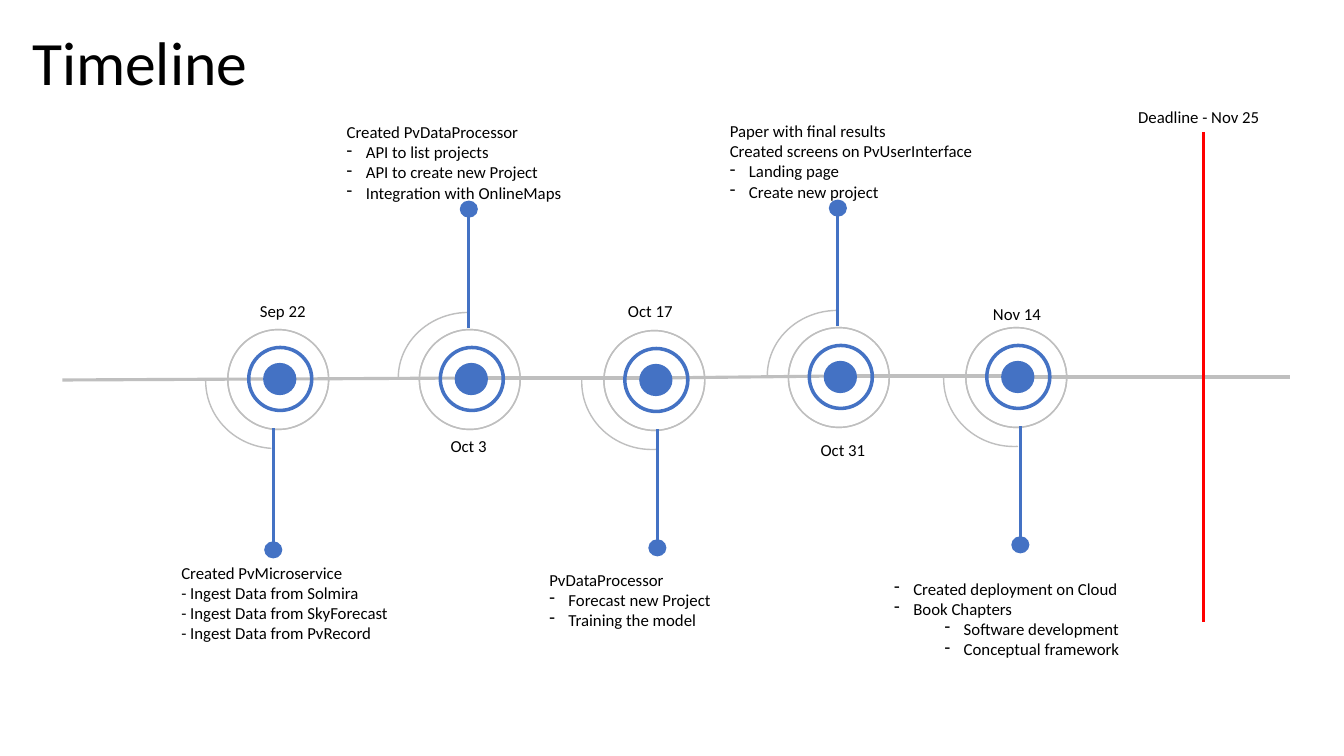
from lxml import etree
from pptx import Presentation
from pptx.dml.color import RGBColor
from pptx.enum.shapes import MSO_CONNECTOR, MSO_SHAPE
from pptx.enum.text import MSO_ANCHOR, MSO_AUTO_SIZE
from pptx.oxml.ns import qn
from pptx.util import Inches, Pt

STRAIGHT = MSO_CONNECTOR.STRAIGHT
ELLIPSE, DONUT, BLOCK_ARC = MSO_SHAPE.OVAL, MSO_SHAPE.DONUT, MSO_SHAPE.BLOCK_ARC
TOP, MIDDLE = MSO_ANCHOR.TOP, MSO_ANCHOR.MIDDLE
GROW = MSO_AUTO_SIZE.SHAPE_TO_FIT_TEXT

THEME = {
    "font": "Calibri", "title": 44, "body": 12,
    "text": "000000", "accent": "4472C4", "axis": "BFBFBF", "deadline": "FF0000",
    "thick": 2.25, "thin": 1,
}

TITLE = ("Timeline", (0.22, 0.14, 2.96, 1.01))
DEADLINE = ("Deadline - Nov 25", (11.19, 1.01, 1.51, 0.3))
DEADLINE_LINE = (11.94, 6.17, 11.94, 1.31)

AXIS = [
    (10.12, 3.74, 12.79, 3.74),
    (6.48, 3.75, 8.31, 3.73),
    (4.66, 3.75, 6.52, 3.75),
    (0.62, 3.77, 2.61, 3.76),
    (2.83, 3.76, 4.65, 3.75),
    (8.25, 3.73, 10.12, 3.73),
]

# level None is plain text, 0 and 1 are dashed list levels
MILESTONES = [
    {"date": "Sep 22", "date_at": (2.48, 2.93), "ring": (2.26, 3.27), "side": "below",
     "stem_x": 2.71, "cap_y": 5.37, "arc_start": 56.46, "notes_at": (1.7, 5.53, 2.64, 0.91),
     "notes": [("Created PvMicroservice", None), ("- Ingest Data from Solmira", None),
               ("- Ingest Data from SkyForecast", None), ("- Ingest Data from PvRecord", None)]},
    {"date": "Oct 3", "date_at": (4.37, 4.27), "ring": (4.16, 3.27), "side": "above",
     "stem_x": 4.65, "cap_y": 1.99, "arc_start": 107.56, "notes_at": (3.34, 1.16, 3.26, 0.91),
     "notes": [("Created PvDataProcessor", None), ("API to list projects", 0),
               ("API to create new Project", 0), ("Integration with OnlineMaps", 0)]},
    {"date": "Oct 17", "date_at": (6.13, 2.93), "ring": (5.99, 3.28), "side": "below",
     "stem_x": 6.52, "cap_y": 5.35, "arc_start": 52.12, "notes_at": (5.35, 5.6, 3.26, 0.71),
     "notes": [("PvDataProcessor", None), ("Forecast new Project", 0), ("Training the model", 0)]},
    {"date": "Oct 31", "date_at": (8.04, 4.31), "ring": (7.82, 3.25), "side": "above",
     "stem_x": 8.31, "cap_y": 1.98, "arc_start": 107.56, "notes_at": (7.14, 1.15, 3.26, 0.91),
     "notes": [("Paper with final results", None), ("Created screens on PvUserInterface", None),
               ("Landing page", 0), ("Create new project", 0)]},
    {"date": "Nov 14", "date_at": (9.75, 2.96), "ring": (9.58, 3.25), "side": "below",
     "stem_x": 10.12, "cap_y": 5.32, "arc_start": 52.12, "notes_at": (8.77, 5.69, 3.26, 1.11),
     "notes": [("Created deployment on Cloud", 0), ("Book Chapters", 0),
               ("Software development", 1), ("Conceptual framework", 1)]},
]

SIDES = {
    "below": {"stem": (0.98, 2.15), "arc": (-0.22, -0.16, 1.39, 1.34), "arc_end": 109.06},
    "above": {"stem": (-0.02, -1.19), "arc": (-0.21, -0.17, 1.39, 1.3), "arc_end": 162.22},
}
DATE_SIZE = (0.92, 0.3)
CAP_SIZE = (0.18, 0.17)
DASH_INDENT = 0.19
LEVEL_STEP = 0.5


def color(name):
    return RGBColor.from_string(THEME[name])


def add_line(slide, ends, ink):
    line = slide.shapes.add_connector(STRAIGHT, *map(Inches, ends))
    line.line.color.rgb = color(ink)
    line.line.width = Pt(THEME["thick"])
    etree.SubElement(line._element.spPr, qn("a:effectLst"))


def add_figure(slide, preset, box, adjustments=(), outlined=False):
    figure = slide.shapes.add_shape(preset, *map(Inches, box))
    figure.shadow.inherit = False
    for index, value in enumerate(adjustments):
        figure.adjustments[index] = value
    figure.fill.solid()
    figure.fill.fore_color.rgb = color("accent")
    if outlined:
        figure.line.color.rgb = color("axis")
        figure.line.width = Pt(THEME["thin"])
    else:
        figure.line.fill.background()


def add_dash(paragraph, level):
    paragraph.level = level
    properties = paragraph._p.get_or_add_pPr()
    properties.set("marL", str(Inches(DASH_INDENT + level * LEVEL_STEP)))
    properties.set("indent", str(-Inches(DASH_INDENT)))
    etree.SubElement(properties, qn("a:buFontTx"))
    etree.SubElement(properties, qn("a:buChar")).set("char", "-")


def add_text(slide, box, lines, size="body", anchor=TOP, spacing=None):
    frame = slide.shapes.add_textbox(*map(Inches, box)).text_frame
    frame.word_wrap = True
    frame.vertical_anchor = anchor
    if size == "body":
        frame.auto_size = GROW
    for index, (words, level) in enumerate(lines):
        paragraph = frame.add_paragraph() if index else frame.paragraphs[0]
        paragraph.text = words
        if spacing:
            paragraph.line_spacing = spacing
        if level is not None:
            add_dash(paragraph, level)
        paragraph.font.name = THEME["font"]
        paragraph.font.size = Pt(THEME[size])
        paragraph.font.color.rgb = color("text")


def add_milestone(slide, milestone):
    x, y = milestone["ring"]
    side = SIDES[milestone["side"]]
    stem_x = milestone["stem_x"]
    near, far = side["stem"]
    dx, dy, width, height = side["arc"]
    add_figure(slide, ELLIPSE, (x + 0.35, y + 0.33, 0.33, 0.32))
    add_figure(slide, DONUT, (x + 0.19, y + 0.16, 0.66, 0.66), (0.053,))
    add_figure(slide, DONUT, (x, y, 1, 0.99), (0,), outlined=True)
    add_figure(slide, BLOCK_ARC, (x + dx, y + dy, width, height),
               (milestone["arc_start"], side["arc_end"], 0), outlined=True)
    add_line(slide, (stem_x, y + far, stem_x, y + near), "accent")
    add_figure(slide, ELLIPSE, (stem_x - CAP_SIZE[0] / 2, milestone["cap_y"], *CAP_SIZE))
    add_text(slide, milestone["date_at"] + DATE_SIZE, [(milestone["date"], None)])
    add_text(slide, milestone["notes_at"], milestone["notes"])


def main():
    deck = Presentation()
    deck.slide_width, deck.slide_height = Inches(13.33), Inches(7.5)
    slide = deck.slides.add_slide(deck.slide_layouts[6])
    for segment in AXIS:
        add_line(slide, segment, "axis")
    title, title_box = TITLE
    add_text(slide, title_box, [(title, None)], "title", MIDDLE, 0.9)
    for milestone in MILESTONES:
        add_milestone(slide, milestone)
    add_line(slide, DEADLINE_LINE, "deadline")
    deadline, deadline_box = DEADLINE
    add_text(slide, deadline_box, [(deadline, None)])
    deck.save("out.pptx")


if __name__ == "__main__":
    main()
